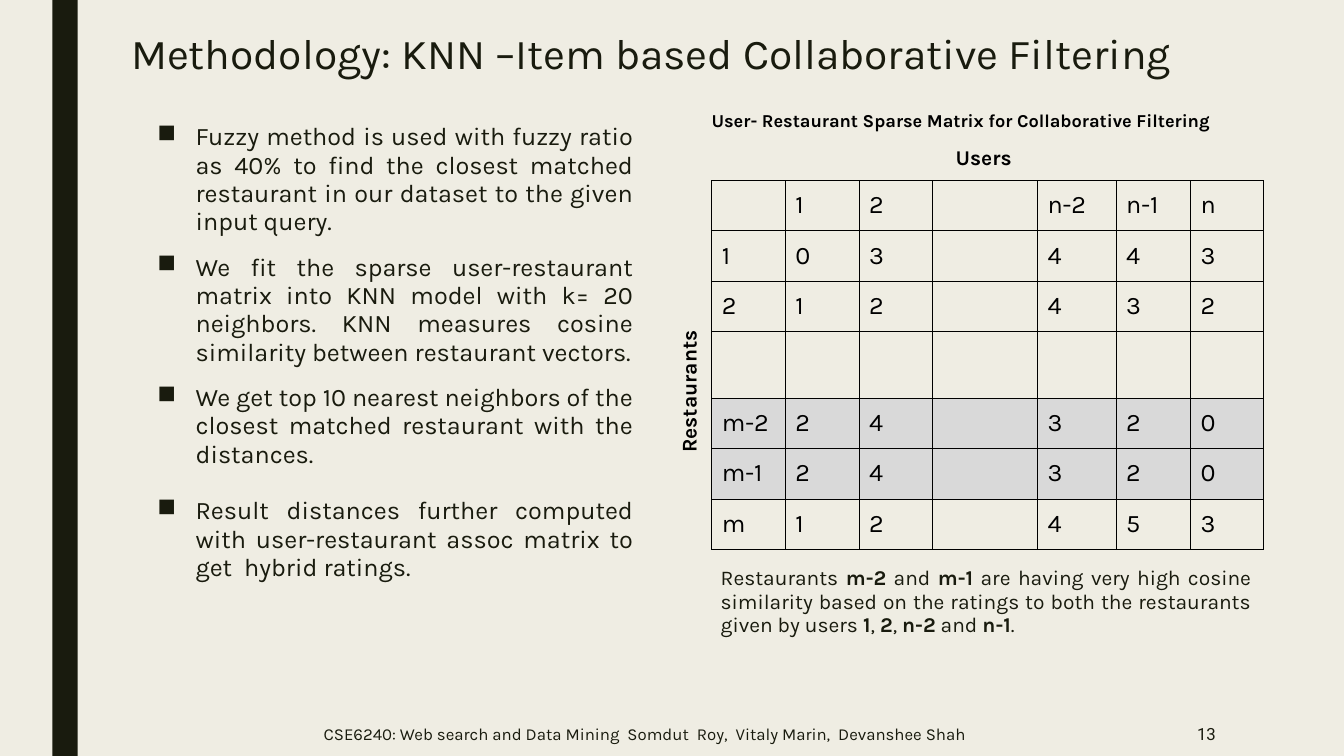
from lxml.etree import SubElement
from pptx import Presentation
from pptx.dml.color import RGBColor
from pptx.enum.shapes import MSO_SHAPE
from pptx.enum.text import MSO_ANCHOR, PP_ALIGN
from pptx.oxml.ns import qn
from pptx.util import Emu, Pt

PX = 9144
COLORS = {"paper": "EFEDE3", "ink": "191B0E", "black": "000000", "highlight": "D9D9D9"}

BULLETS = [
    ("Fuzzy method is used with fuzzy ratio as 40% to find the closest matched "
     "restaurant in our dataset to the given input query.", 12),
    ("We fit the sparse user-restaurant matrix into KNN model with k= 20 neighbors. "
     "KNN measures cosine similarity between restaurant vectors.", 12),
    ("We get top 10 nearest neighbors of the closest matched restaurant with the "
     "distances.", 12),
    ("Result distances further computed with user-restaurant assoc matrix to "
     "get  hybrid ratings.", 20),
]
FINDING = [
    "Restaurants ", "m-2", " and ", "m-1",
    " are having very high cosine similarity based on the ratings to both the "
    "restaurants given by users ",
    "1", ", ", "2", ", ", "n-2", " and ", "n-1", ".",
]
RATINGS = [
    ["", "1", "2", "", "n-2", "n-1", "n"],
    ["1", "0", "3", "", "4", "4", "3"],
    ["2", "1", "2", "", "4", "3", "2"],
    [""] * 7,
    ["m-2", "2", "4", "", "3", "2", "0"],
    ["m-1", "2", "4", "", "3", "2", "0"],
    ["m", "1", "2", "", "4", "5", "3"],
]
COLUMN_WIDTHS = [73, 73, 73, 104, 78, 74, 72]
ROW_HEIGHTS = [50, 50, 50, 66, 50, 50, 50]
SIMILAR_ROWS = {"m-2", "m-1"}


def px(*lengths):
    return [Emu(length * PX) for length in lengths]


def color(name):
    return RGBColor.from_string(COLORS[name])


def set_all(target, values):
    for name, value in values.items():
        setattr(target, name, value)


def set_frame(frame, inset, wrap=True, anchor=MSO_ANCHOR.TOP):
    sides = ("margin_left", "margin_top", "margin_right", "margin_bottom")
    set_all(frame, dict.fromkeys(sides, Emu(inset * PX)))
    set_all(frame, {"word_wrap": wrap, "vertical_anchor": anchor})
    return frame


def add_run(paragraph, text, size, ink="ink", bold=False, font="Karla"):
    run = paragraph.add_run()
    run.text = text
    set_all(run.font, {"name": font, "size": Pt(size), "bold": bold})
    run.font.color.rgb = color(ink)


def add_frame(slide, box, inset, **options):
    return set_frame(slide.shapes.add_textbox(*px(*box)).text_frame, inset, **options)


def add_label(slide, box, text, size, rotation=0):
    shape = slide.shapes.add_textbox(*px(*box))
    shape.rotation = rotation
    frame = set_frame(shape.text_frame, 10)
    add_run(frame.paragraphs[0], text, size, "black", True)


def add_title(slide, box, text):
    title = slide.shapes.title
    set_all(title, dict(zip(("left", "top", "width", "height"), px(*box))))
    paragraph = set_frame(title.text_frame, 5).paragraphs[0]
    set_all(paragraph, {"alignment": PP_ALIGN.LEFT, "line_spacing": 0.89})
    add_run(paragraph, text, 30.4)


def add_bullets(slide, box, bullets):
    frame = add_frame(slide, box, 5)
    for index, (text, gap) in enumerate(bullets):
        paragraph = frame.add_paragraph() if index else frame.paragraphs[0]
        set_all(paragraph, {"alignment": PP_ALIGN.JUSTIFY, "line_spacing": 0.94,
                            "space_before": Pt(gap)})
        add_run(paragraph, text, 18)
        properties = paragraph._p.get_or_add_pPr()
        properties.set("marL", str(50 * PX))
        properties.set("indent", str(-38 * PX))
        SubElement(properties, qn("a:buChar"), char="■")


def add_finding(slide, box, pieces):
    paragraph = add_frame(slide, box, 10).paragraphs[0]
    set_all(paragraph, {"alignment": PP_ALIGN.JUSTIFY, "line_spacing": 0.94,
                        "space_before": Pt(12)})
    for index, piece in enumerate(pieces):
        add_run(paragraph, piece, 15, bold=index % 2 == 1)


def add_borders(cell):
    properties = cell._tc.get_or_add_tcPr()
    for position, side in enumerate(("lnL", "lnR", "lnT", "lnB")):
        line = properties.makeelement(qn(f"a:{side}"), {"w": str(Pt(0.75))})
        properties.insert(position, line)
        fill = SubElement(line, qn("a:solidFill"))
        SubElement(fill, qn("a:srgbClr"), val=COLORS["black"])


def add_matrix(slide, left, top, rows):
    box = px(left, top, sum(COLUMN_WIDTHS), sum(ROW_HEIGHTS))
    table = slide.shapes.add_table(len(rows), len(rows[0]), *box).table
    set_all(table, {"first_row": False, "horz_banding": False})
    for column, width in zip(table.columns, px(*COLUMN_WIDTHS)):
        column.width = width
    for row, height, texts in zip(table.rows, px(*ROW_HEIGHTS), rows):
        row.height = height
        for cell, text in zip(row.cells, texts):
            set_frame(cell.text_frame, 10)
            sides = ("margin_left", "margin_top", "margin_right", "margin_bottom")
            set_all(cell, dict.fromkeys(sides, Emu(10 * PX)))
            if text:
                add_run(cell.text_frame.paragraphs[0], text, 18, "black")
            if texts[0] in SIMILAR_ROWS:
                cell.fill.solid()
                cell.fill.fore_color.rgb = color("highlight")
            else:
                cell.fill.background()
            add_borders(cell)


def add_side_bar(slide, box):
    shape = slide.shapes.add_shape(MSO_SHAPE.RECTANGLE, *px(*box))
    shape.shadow.inherit = False
    shape.fill.solid()
    shape.fill.fore_color.rgb = color("ink")
    shape.line.fill.background()


def add_footer(slide):
    credit = add_frame(slide, (316, 713, 687, 29), 5, anchor=MSO_ANCHOR.MIDDLE)
    add_run(credit.paragraphs[0], "CSE6240: Web search and Data Mining  Somdut  Roy,  "
            "Vitaly Marin,  Devanshee Shah", 12)
    number = add_frame(slide, (1181, 713, 30, 29), 5, wrap=False,
                       anchor=MSO_ANCHOR.MIDDLE)
    number.paragraphs[0].alignment = PP_ALIGN.RIGHT
    add_run(number.paragraphs[0], "13", 12, font="Roboto")


def main():
    presentation = Presentation()
    width, height = px(1333, 750)
    set_all(presentation, {"slide_width": width, "slide_height": height})
    slide = presentation.slides.add_slide(presentation.slide_layouts[5])
    slide.background.fill.solid()
    slide.background.fill.fore_color.rgb = color("paper")

    add_side_bar(slide, (52, 0, 25, 750))
    add_title(slide, (125, 28, 1050, 77),
              "Methodology: KNN –Item based Collaborative Filtering")
    add_bullets(slide, (139, 117, 494, 516), BULLETS)
    add_matrix(slide, 706, 179, RATINGS)
    add_label(slide, (938, 133, 108, 45), "Users", 15)
    add_label(slide, (599, 353, 167, 45), "Restaurants", 15, 270)
    add_finding(slide, (705, 552, 546, 92), FINDING)
    add_label(slide, (696, 98, 592, 42),
              "User- Restaurant Sparse Matrix for Collaborative Filtering", 13)
    add_footer(slide)
    presentation.save("out.pptx")


if __name__ == "__main__":
    main()
